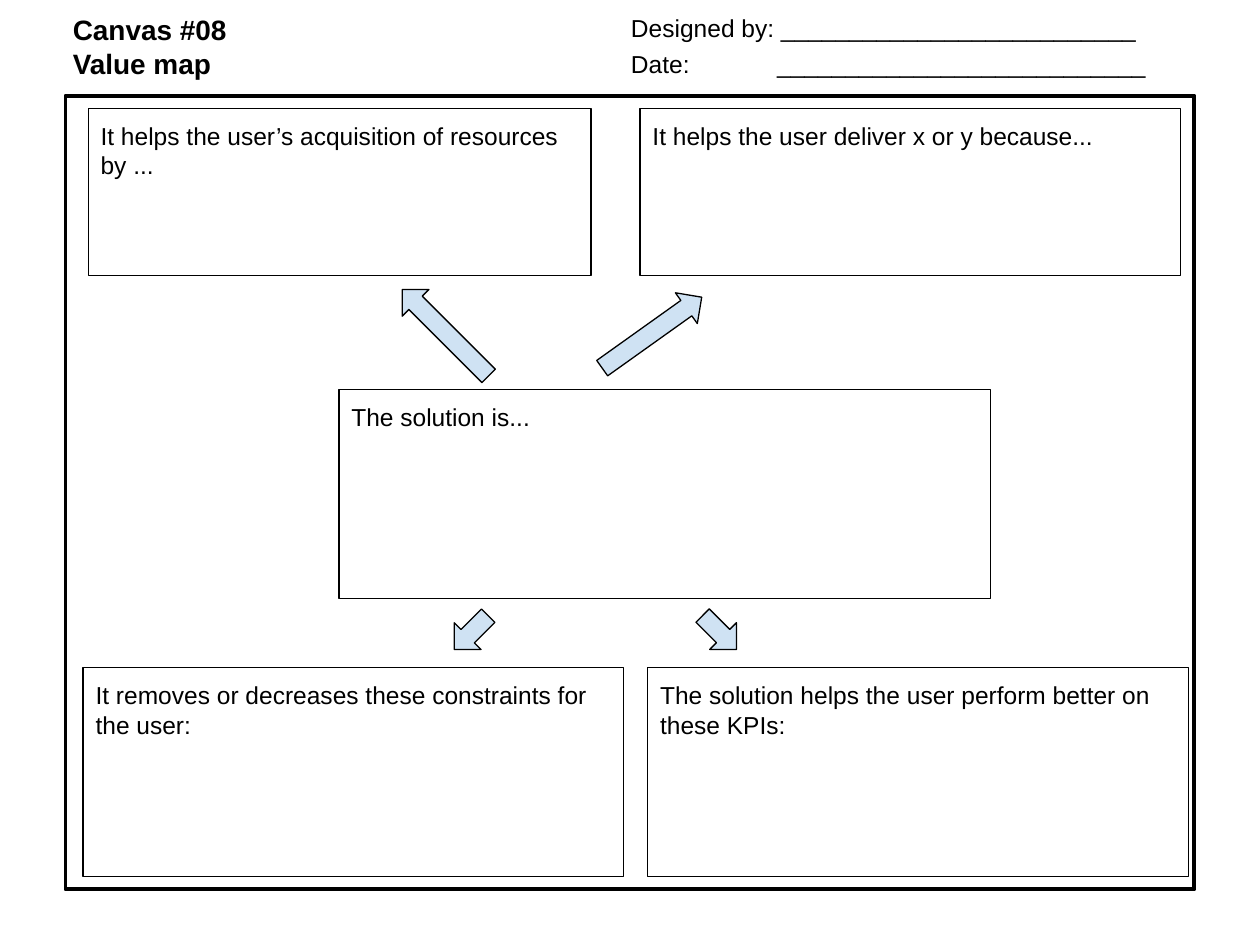
from dataclasses import dataclass

from lxml import etree
from pptx import Presentation
from pptx import util as u
from pptx.dml.color import RGBColor
from pptx.enum import shapes, text
from pptx.oxml.ns import qn
from pptx.shapes.autoshape import Shape
from pptx.slide import Slide


@dataclass(frozen=True)
class Theme:
    font: str = "Arial"
    ink: RGBColor = RGBColor(0x00, 0x00, 0x00)
    arrow: RGBColor = RGBColor(0xCF, 0xE2, 0xF3)
    title: u.Pt = u.Pt(16)
    body: u.Pt = u.Pt(14)
    frame_line: u.Pt = u.Pt(2.25)
    thin_line: u.Pt = u.Pt(0.75)


@dataclass(frozen=True)
class Area:
    left: float
    top: float
    width: float
    height: float

    def lengths(self) -> list[u.Length]:
        return [u.Inches(n) for n in (self.left, self.top, self.width, self.height)]


@dataclass(frozen=True)
class Label:
    area: Area
    lines: tuple[str, ...]
    size: u.Pt
    bold: bool = False
    tab_stop: float = 0


@dataclass(frozen=True)
class Panel:
    area: Area
    prompt: str


@dataclass(frozen=True)
class Arrow:
    area: Area
    angle: float


THEME = Theme()
FRAME = Area(0.52, 0.76, 8.96, 6.3)
UPPER_TOP, UPPER_HEIGHT = 0.86, 1.33
LOWER_TOP, LOWER_HEIGHT = 5.3, 1.66
WIDE = 4.29
ARROW_HEIGHT = 0.3
LONG, SHORT = 0.97, 0.38
UPPER_ARROW_TOP, LOWER_ARROW_TOP = 2.49, 4.87

LABELS = [
    Label(Area(0.48, 0, 4.66, 0.74), ("Canvas #08", "Value map"), THEME.title, bold=True),
    Label(Area(4.91, 0, 4.36, 0.45), ("Designed by: " + "_" * 26,), THEME.body),
    Label(Area(4.91, 0.29, 4.44, 0.45), ("Date: \t" + "_" * 27,), THEME.body, tab_stop=1.16),
]
PANELS = [
    Panel(Area(2.69, 3.09, 5.17, LOWER_HEIGHT), "The solution is..."),
    Panel(Area(0.7, UPPER_TOP, 3.99, UPPER_HEIGHT),
          "It helps the user’s acquisition of resources by ..."),
    Panel(Area(5.08, UPPER_TOP, WIDE, UPPER_HEIGHT),
          "It helps the user deliver x or y because..."),
    Panel(Area(0.66, LOWER_TOP, WIDE, LOWER_HEIGHT),
          "It removes or decreases these constraints for the user:"),
    Panel(Area(5.14, LOWER_TOP, WIDE, LOWER_HEIGHT),
          "The solution helps the user perform better on these KPIs:"),
]
ARROWS = [
    Arrow(Area(3.05, UPPER_ARROW_TOP, LONG, ARROW_HEIGHT), 225),
    Arrow(Area(4.69, UPPER_ARROW_TOP, LONG, ARROW_HEIGHT), 324.5),
    Arrow(Area(5.52, LOWER_ARROW_TOP, SHORT, ARROW_HEIGHT), 45),
    Arrow(Area(3.55, LOWER_ARROW_TOP, SHORT, ARROW_HEIGHT), 135),
]


def apply_format(target: object, values: dict[str, object]) -> None:
    for name, value in values.items():
        setattr(target, name, value)


def write_lines(box: Shape, lines: tuple[str, ...], size: u.Pt, bold: bool = False) -> None:
    frame = box.text_frame
    inset = u.Inches(0.1)
    apply_format(frame, {
        "word_wrap": True, "vertical_anchor": text.MSO_ANCHOR.TOP,
        "margin_left": inset, "margin_right": inset,
        "margin_top": inset, "margin_bottom": inset,
    })
    for index, line in enumerate(lines):
        para = frame.paragraphs[0] if index == 0 else frame.add_paragraph()
        para.alignment = text.PP_ALIGN.LEFT
        span = para.add_run()
        span.text = line
        apply_format(span.font, {"name": THEME.font, "size": size, "bold": bold})
        span.font.color.rgb = THEME.ink


def add_tab_stop(box: Shape, position: float) -> None:
    for para in box.text_frame.paragraphs:
        properties = para._p.get_or_add_pPr()
        stops = etree.SubElement(properties, qn("a:tabLst"))
        etree.SubElement(stops, qn("a:tab"), pos=str(u.Inches(position)), algn="l")


def draw_outline(page: Slide, kind: shapes.MSO_SHAPE, area: Area, weight: u.Pt) -> Shape:
    shape = page.shapes.add_shape(kind, *area.lengths())
    shape.shadow.inherit = False
    shape.fill.background()
    shape.line.color.rgb = THEME.ink
    shape.line.width = weight
    return shape


def draw_label(page: Slide, label: Label) -> None:
    box = page.shapes.add_textbox(*label.area.lengths())
    write_lines(box, label.lines, label.size, label.bold)
    if label.tab_stop:
        add_tab_stop(box, label.tab_stop)


def draw_panel(page: Slide, panel: Panel) -> None:
    box = draw_outline(page, shapes.MSO_SHAPE.RECTANGLE, panel.area, THEME.thin_line)
    write_lines(box, (panel.prompt,), THEME.body)


def draw_arrow(page: Slide, arrow: Arrow) -> None:
    shape = draw_outline(page, shapes.MSO_SHAPE.RIGHT_ARROW, arrow.area, THEME.thin_line)
    shape.fill.solid()
    shape.fill.fore_color.rgb = THEME.arrow
    shape.rotation = arrow.angle


def main() -> None:
    deck = Presentation()
    apply_format(deck, {"slide_width": u.Inches(10), "slide_height": u.Inches(7.5)})
    page = deck.slides.add_slide(deck.slide_layouts[6])
    draw_outline(page, shapes.MSO_SHAPE.RECTANGLE, FRAME, THEME.frame_line)
    for label in LABELS:
        draw_label(page, label)
    for panel in PANELS:
        draw_panel(page, panel)
    for arrow in ARROWS:
        draw_arrow(page, arrow)
    deck.save("out.pptx")


if __name__ == "__main__":
    main()
